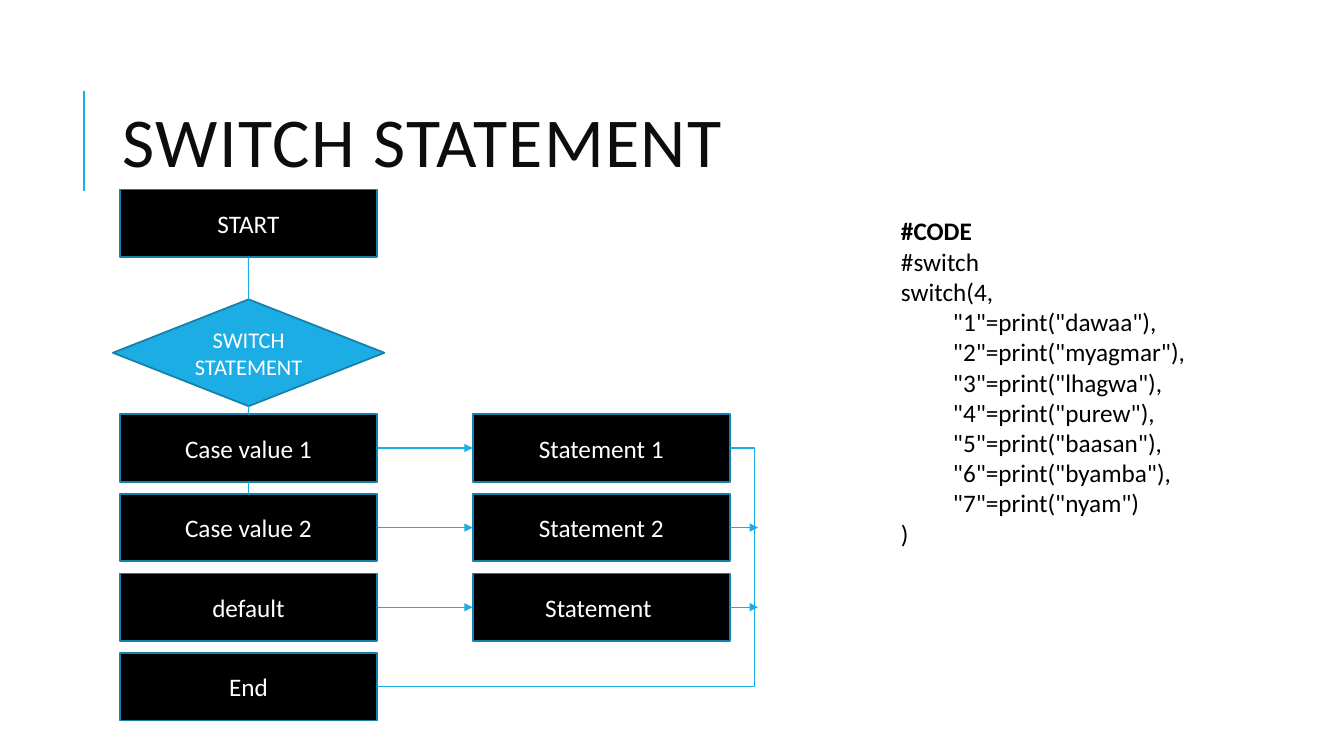
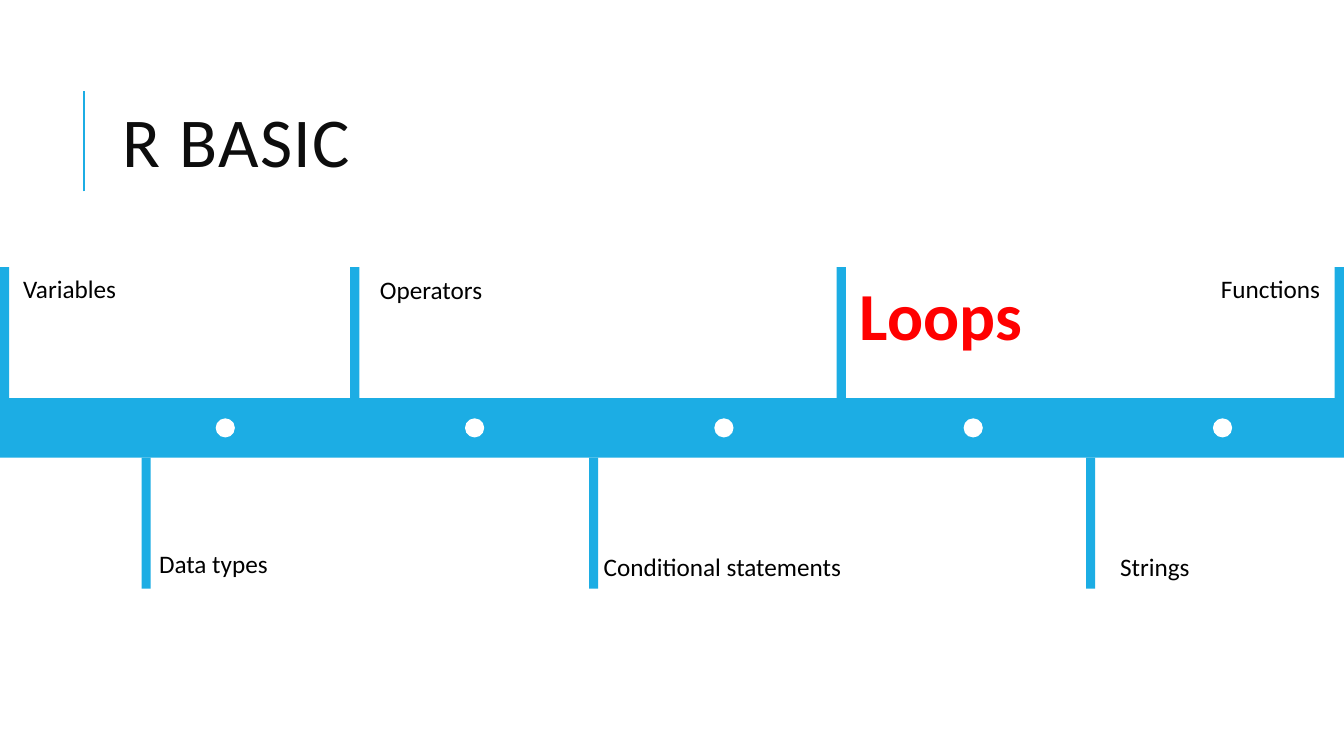
"""Build two slides on R: the switch statement and the course timeline."""
from dataclasses import dataclass
from typing import Any, Optional

from lxml import etree
from pptx import Presentation
from pptx import slide as sl
from pptx import util as u
from pptx.dml import color as dml
from pptx.enum import shapes, text
from pptx.oxml import ns
from pptx.shapes import autoshape, connector as cx

WIDTH, HEIGHT = u.Inches(13.33), u.Inches(7.5)
ACCENT, EDGE, BLACK, WHITE = "1CADE4", "1580A9", "000000", "FFFFFF"
TITLE_INK, HIGHLIGHT = "0D0D0D", "FF0000"
TITLE_FONT = {"name": "Calibri", "size": u.Pt(50), "bold": False}
BODY_FONT = {"name": "Calibri", "size": u.Pt(18), "bold": False}
SMALL_FONT = BODY_FONT | {"size": u.Pt(16)}
STRONG_FONT = BODY_FONT | {"bold": True}
LOUD_FONT = STRONG_FONT | {"size": u.Pt(48)}
TOP, LEFT, BOTTOM, RIGHT = range(4)

COLUMNS, COLUMN_STEP, BOX_WIDTH = 8.92, 26.25, 19.13
ROWS, ROW_STEP, BOX_HEIGHT = 54.8, 10.53, 8.93
MERGE_REACH = 2.1
BAND_TOP, BAND_HEIGHT = 52.67, 7.87
BAR_WIDTH, BAR_HEIGHT = 0.68, 17.33
DOT_START, DOT_STEP, DOT_WIDTH, DOT_HEIGHT = 16.05, 18.55, 1.43, 2.53


@dataclass(frozen=True)
class Area:
    """A rectangle in percent of the slide's width and height."""

    left: float
    top: float
    width: float
    height: float

    def box(self) -> tuple[u.Emu, u.Emu, u.Emu, u.Emu]:
        """Return the rectangle in slide units."""
        return across(self.left), down(self.top), across(self.width), down(self.height)


@dataclass(frozen=True)
class Milestone:
    """A topic on the timeline, its bar's centre and its label's place."""

    topic: str
    bar: float
    label: Area
    above: bool
    loud: bool = False


MILESTONES = (
    Milestone("Variables", 0.34, Area(0.98, 35.47, 9, 5.33), True),
    Milestone("Data types", 10.88, Area(11.1, 71.87, 9.9, 5.33), False),
    Milestone("Operators", 26.4, Area(27.53, 35.6, 9.4, 5.33), True),
    Milestone("Conditional statements", 44.18, Area(44.18, 72.27, 20.4, 5.33), False),
    Milestone("Loops", 62.6, Area(63.24, 35.47, 15.15, 12.13), True, True),
    Milestone("Strings", 81.15, Area(82.6, 72.27, 7.5, 5.33), False),
    Milestone("Functions", 99.65, Area(90.1, 35.47, 9.53, 5.33), True),
)
BRANCHES = (
    ("Case value 1", "Statement 1"),
    ("Case value 2", "Statement 2"),
    ("default", "Statement "),
)
DAYS = ("dawaa", "myagmar", "lhagwa", "purew", "baasan", "byamba", "nyam")


def across(share: float) -> u.Emu:
    """Turn a percentage of the slide's width into a length."""
    return u.Emu(round(WIDTH * share / 100))


def down(share: float) -> u.Emu:
    """Turn a percentage of the slide's height into a length."""
    return u.Emu(round(HEIGHT * share / 100))


def rgb(value: str) -> dml.RGBColor:
    """Turn a hex string into a colour."""
    return dml.RGBColor.from_string(value)


def set_font(font: Any, values: dict[str, Any], ink: str) -> None:
    """Give a font its format values and colour."""
    for attribute, value in values.items():
        setattr(font, attribute, value)
    font.color.rgb = rgb(ink)


def add_figure(page: sl.Slide, kind: shapes.MSO_SHAPE, area: Area, fill: str,
               edge: Optional[str] = None) -> autoshape.Shape:
    """Draw a flat preset shape, outlined only if an edge is given."""
    figure = page.shapes.add_shape(kind, *area.box())
    figure.shadow.inherit = False
    figure.fill.solid()
    figure.fill.fore_color.rgb = rgb(fill)
    if edge:
        figure.line.color.rgb = rgb(edge)
        figure.line.width = u.Pt(1.25)
    else:
        figure.line.fill.background()
    return figure


def add_step(page: sl.Slide, words: str, area: Area, fill: str = BLACK,
             kind: shapes.MSO_SHAPE = shapes.MSO_SHAPE.RECTANGLE,
             font: dict[str, Any] = BODY_FONT) -> autoshape.Shape:
    """Draw one labelled step of the flowchart."""
    step = add_figure(page, kind, area, fill, EDGE)
    frame = step.text_frame
    frame.word_wrap = True
    frame.vertical_anchor = text.MSO_ANCHOR.MIDDLE
    line = frame.paragraphs[0]
    line.alignment = text.PP_ALIGN.CENTER
    run = line.add_run()
    run.text = words
    set_font(run.font, font, WHITE)
    return step


def add_line(page: sl.Slide, start: tuple[int, int] = (0, 0), end: tuple[int, int] = (0, 0),
             weight: float = 0.75, arrow: bool = False,
             kind: shapes.MSO_CONNECTOR = shapes.MSO_CONNECTOR.STRAIGHT) -> cx.Connector:
    """Draw an accent line, with an arrowhead on request."""
    line = page.shapes.add_connector(kind, *start, *end)
    line.line.color.rgb = rgb(ACCENT)
    line.line.width = u.Pt(weight)
    if arrow:
        etree.SubElement(line.line._get_or_add_ln(), ns.qn("a:tailEnd"), type="triangle")
    etree.SubElement(line._element.spPr, ns.qn("a:effectLst"))
    return line


def join(page: sl.Slide, source: autoshape.Shape, exit_side: int,
         target: autoshape.Shape, entry_side: int, **style: Any) -> cx.Connector:
    """Connect two steps from side to side."""
    link = add_line(page, **style)
    link.begin_connect(source, exit_side)
    link.end_connect(target, entry_side)
    return link


def add_text(page: sl.Slide, area: Area, lines: list[tuple[str, dict[str, Any], float]],
             ink: str = BLACK) -> None:
    """Write lines of words, font and indent share into a text box."""
    frame = page.shapes.add_textbox(*area.box()).text_frame
    frame.word_wrap = True
    for number, (words, font, indent) in enumerate(lines):
        line = frame.add_paragraph() if number else frame.paragraphs[0]
        if indent:
            line._p.get_or_add_pPr().set("marL", str(across(indent)))
        run = line.add_run()
        run.text = words
        set_font(run.font, font, ink)


def add_page(deck: Any, heading: str) -> sl.Slide:
    """Add a slide with the shared title and its accent rule."""
    page = deck.slides.add_slide(deck.slide_layouts[5])
    title = page.shapes.title
    title.left, title.top, title.width, title.height = Area(8.4, 8.53, 79.75, 21.87).box()
    frame = title.text_frame
    frame.word_wrap = True
    frame.auto_size = text.MSO_AUTO_SIZE.NONE
    frame.vertical_anchor = text.MSO_ANCHOR.MIDDLE
    line = frame.paragraphs[0]
    line.alignment = text.PP_ALIGN.LEFT
    line.line_spacing = 0.8
    run = line.add_run()
    run.text = heading
    set_font(run.font, TITLE_FONT, TITLE_INK)
    run._r.get_or_add_rPr().set("spc", "100")
    add_line(page, (across(6.23), down(25.33)), (across(6.23), down(12)), 1.5)
    return page


def cell(column: int, row: int) -> Area:
    """Return the place of a flowchart box on its grid."""
    return Area(COLUMNS + column * COLUMN_STEP, ROWS + row * ROW_STEP, BOX_WIDTH, BOX_HEIGHT)


def draw_flowchart(page: sl.Slide) -> None:
    """Draw the steps of the switch statement and their links."""
    start = add_step(page, "START", Area(COLUMNS, 25.07, BOX_WIDTH, BOX_HEIGHT))
    switch = add_step(page, "SWITCH STATEMENT", Area(8.4, 39.6, 20.2, 14.13), ACCENT,
                      shapes.MSO_SHAPE.DIAMOND, SMALL_FONT)
    cases = [add_step(page, case, cell(0, row)) for row, (case, _) in enumerate(BRANCHES)]
    results = [add_step(page, result, cell(1, row)) for row, (_, result) in enumerate(BRANCHES)]
    finish = add_step(page, "End", cell(0, len(BRANCHES)))
    chain = [start, switch, *cases[:2]]
    for upper, lower in zip(chain, chain[1:]):
        join(page, upper, BOTTOM, lower, TOP)
    for case, result in zip(cases, results):
        join(page, case, RIGHT, result, LEFT, arrow=True)
    merge = join(page, results[0], RIGHT, finish, RIGHT, kind=shapes.MSO_CONNECTOR.ELBOW)
    bends = merge._element.spPr.find(ns.qn("a:prstGeom")).get_or_add_avLst()
    etree.SubElement(bends, ns.qn("a:gd"), name="adj1", fmla="val -7100")
    for result in results[1:]:
        edge, middle = result.left + result.width, result.top + result.height // 2
        add_line(page, (edge, middle), (edge + across(MERGE_REACH), middle), arrow=True)


def draw_code(page: sl.Slide) -> None:
    """Write the switch example in R."""
    lines = [("#CODE", STRONG_FONT, 0), ("#switch", BODY_FONT, 0), ("switch(4,", BODY_FONT, 0)]
    for number, day in enumerate(DAYS, 1):
        comma = "," if number < len(DAYS) else ""
        lines.append((f'"{number}"=print("{day}"){comma}', BODY_FONT, 3.87))
    add_text(page, Area(66.3, 27.87, 26.9, 45.87), [*lines, (")", BODY_FONT, 0)])


def draw_timeline(page: sl.Slide) -> None:
    """Draw the band, its dots and the milestones around it."""
    bar = shapes.MSO_SHAPE.RECTANGLE
    add_figure(page, bar, Area(0, BAND_TOP, 100, BAND_HEIGHT), ACCENT)
    dot_top = BAND_TOP + (BAND_HEIGHT - DOT_HEIGHT) / 2
    for number in range(5):
        dot = Area(DOT_START + number * DOT_STEP, dot_top, DOT_WIDTH, DOT_HEIGHT)
        add_figure(page, shapes.MSO_SHAPE.OVAL, dot, WHITE)
    for stop in MILESTONES:
        top = BAND_TOP - BAR_HEIGHT if stop.above else BAND_TOP + BAND_HEIGHT
        add_figure(page, bar, Area(stop.bar - BAR_WIDTH / 2, top, BAR_WIDTH, BAR_HEIGHT), ACCENT)
        font, ink = (LOUD_FONT, HIGHLIGHT) if stop.loud else (BODY_FONT, BLACK)
        add_text(page, stop.label, [(stop.topic, font, 0)], ink)


def main() -> None:
    """Build and save the presentation."""
    deck = Presentation()
    deck.slide_width, deck.slide_height = WIDTH, HEIGHT
    switch_page = add_page(deck, "SWITCH STATEMENT")
    draw_flowchart(switch_page)
    draw_code(switch_page)
    draw_timeline(add_page(deck, "R BASIC"))
    deck.save("out.pptx")


main()
